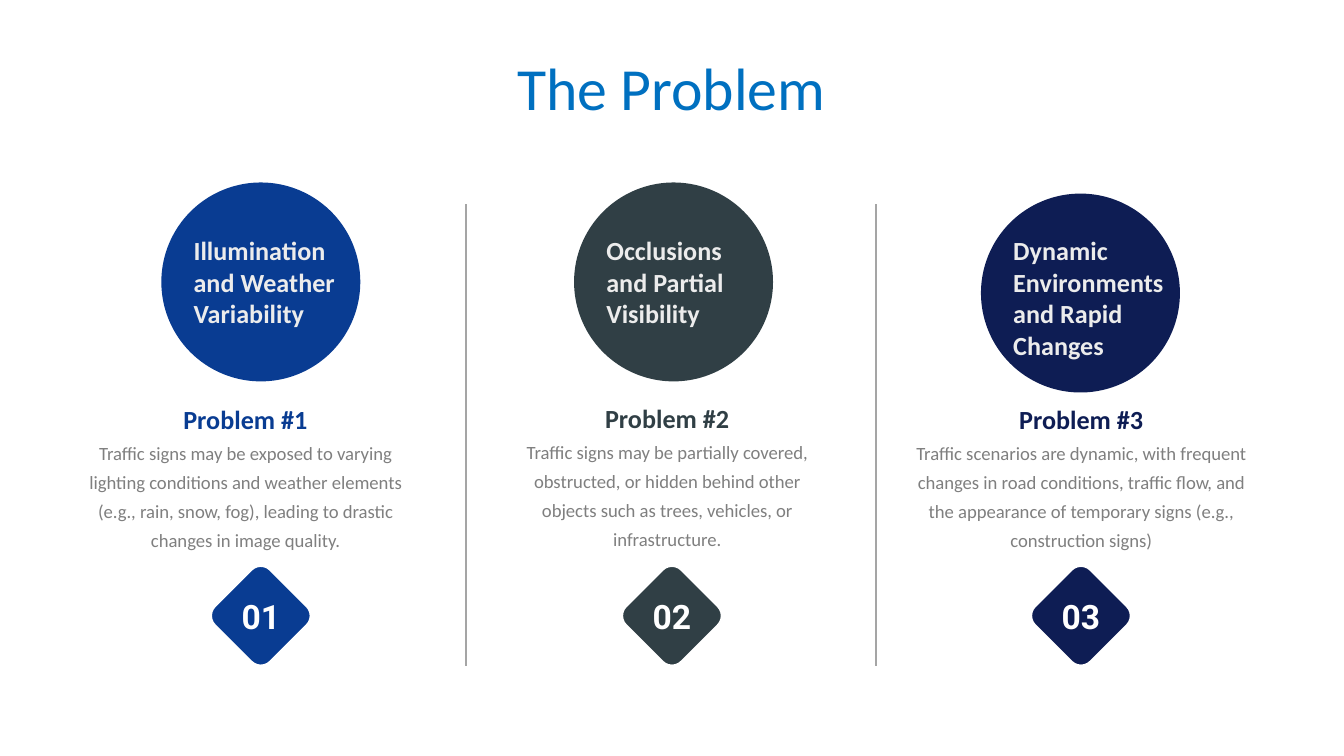
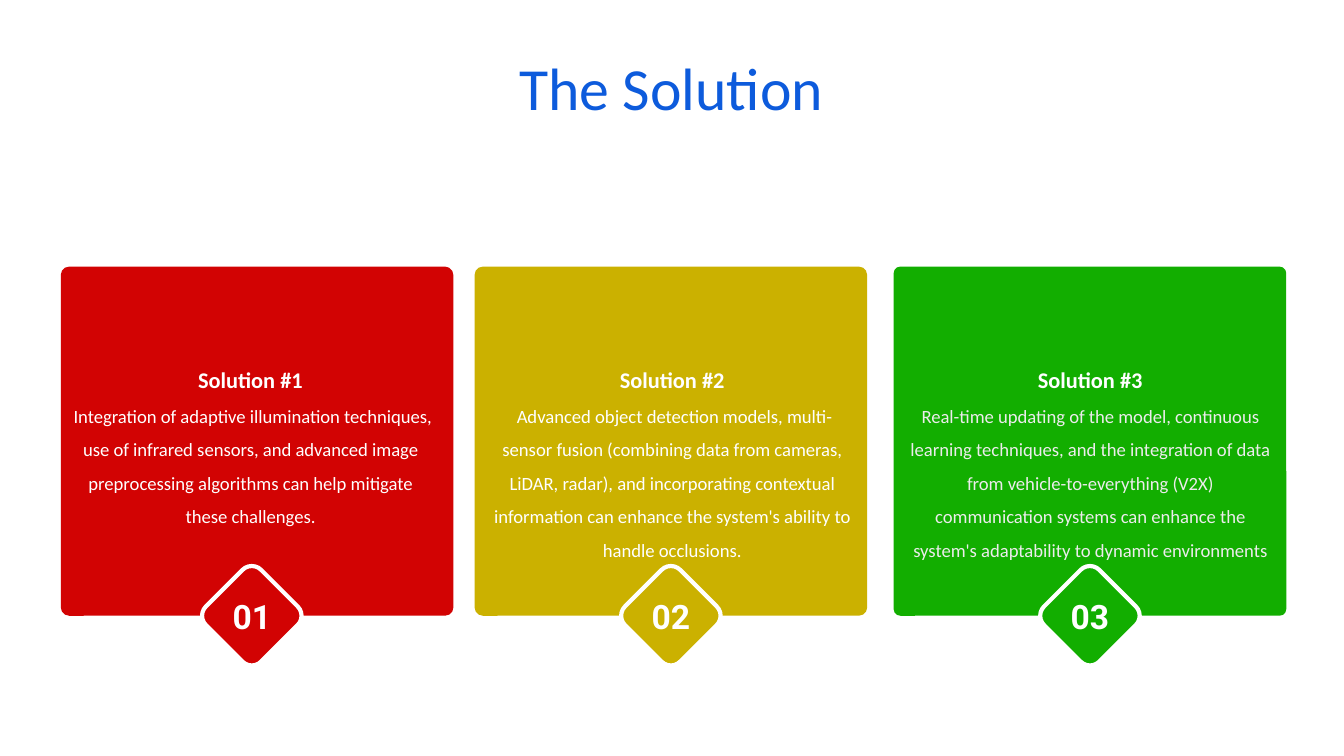
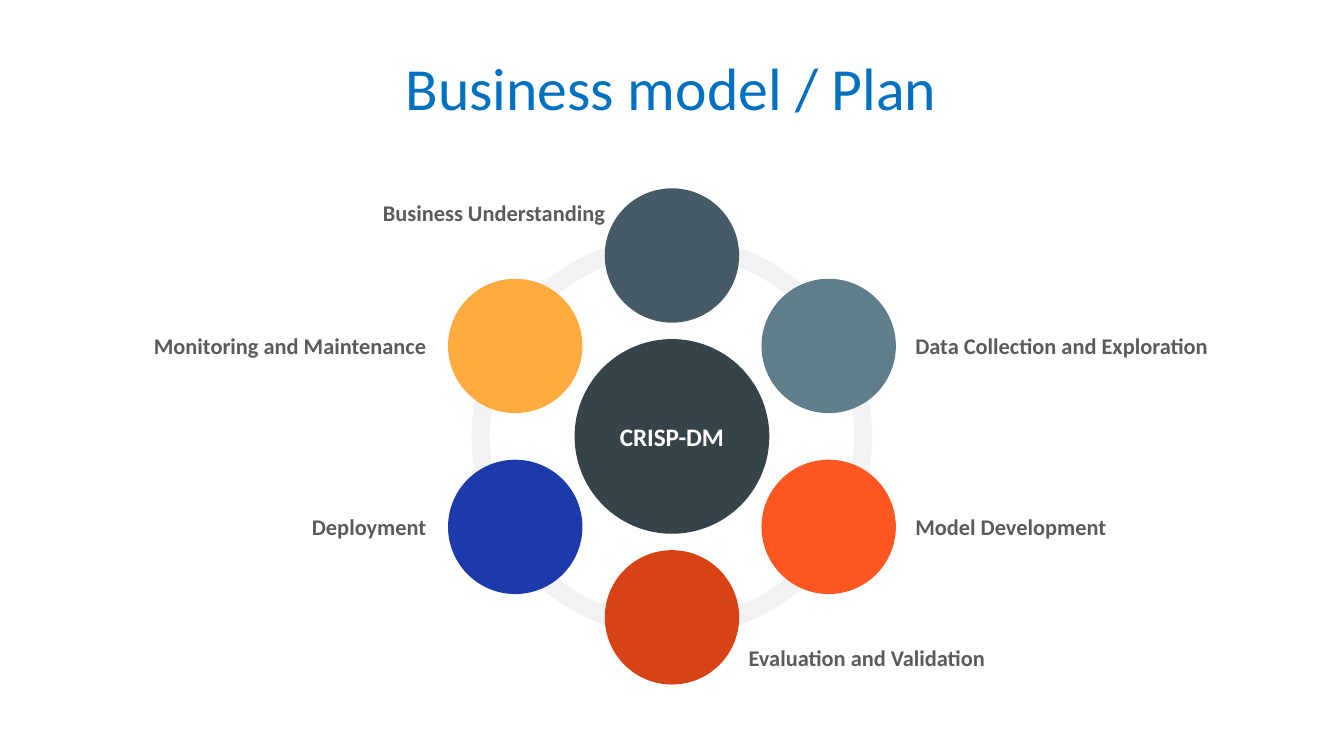
from dataclasses import dataclass
from math import cos, radians, sin

from lxml import etree
from pptx import Presentation
from pptx.dml.color import RGBColor
from pptx.enum.shapes import MSO_CONNECTOR, MSO_SHAPE
from pptx.enum.text import MSO_ANCHOR, MSO_AUTO_SIZE, PP_ALIGN
from pptx.oxml.ns import qn
from pptx.util import Cm, Pt

LEFT, CENTER, RIGHT = PP_ALIGN.LEFT, PP_ALIGN.CENTER, PP_ALIGN.RIGHT
TOP, MIDDLE = MSO_ANCHOR.TOP, MSO_ANCHOR.MIDDLE
OVAL, ROUNDED, ARC = MSO_SHAPE.OVAL, MSO_SHAPE.ROUNDED_RECTANGLE, MSO_SHAPE.BLOCK_ARC
STRAIGHT = MSO_CONNECTOR.STRAIGHT
TITLE_ONLY = 5
NO_INSETS = (0, 0, 0, 0)
INSETS = (0.25, 0.13, 0.25, 0.13)


@dataclass(frozen=True)
class Theme:
    font: str = "Calibri"
    number_font: str = "Roboto"
    title: str = "0070C0"
    title_bright: str = "0D5BDC"
    white: str = "FFFFFF"
    pale: str = "ECECEC"
    body: str = "7F7F7F"
    label: str = "5B5B5B"
    divider: str = "A5A5A5"
    ring: str = "F2F2F2"
    hub: str = "364349"
    title_size: float = 32
    number_size: float = 18
    heading_size: float = 14
    hub_size: float = 13.5
    label_size: float = 12
    body_size: float = 10


T = Theme()

# Colour, circle left and top, label width and height,
# text left, top and width, badge centre, label, text
PROBLEMS = [
    ("093C92", 3.05, 3.45, 3.3, 2.06, 1.48, 7.45, 6.32, 4.93,
     "Illumination and Weather Variability",
     "Traffic signs may be exposed to varying lighting conditions and weather "
     "elements (e.g., rain, snow, fog), leading to drastic changes in image quality."),
    ("303F45", 10.85, 3.45, 3.38, 2.06, 9.92, 7.43, 5.38, 12.7,
     "Occlusions and Partial Visibility",
     "Traffic signs may be partially covered, obstructed, or hidden behind other "
     "objects such as trees, vehicles, or infrastructure."),
    ("0E1D54", 18.54, 3.66, 3.76, 2.64, 17.21, 7.45, 6.45, 20.43,
     "Dynamic Environments and Rapid Changes",
     "Traffic scenarios are dynamic, with frequent changes in road conditions, "
     "traffic flow, and the appearance of temporary signs (e.g., construction signs)"),
]

# Colour, card left, corner, text left, badge centre, text colour, text
SOLUTIONS = [
    ("D20303", 1.15, 0.024, 1.27, 4.76, T.white,
     " Integration of adaptive illumination techniques, use of infrared sensors, and "
     "advanced image preprocessing algorithms can help mitigate these challenges."),
    ("CBB100", 8.97, 0.024, 9.24, 12.68, T.white,
     " Advanced object detection models, multi-sensor fusion (combining data from "
     "cameras, LiDAR, radar), and incorporating contextual information can enhance "
     "the system's ability to handle occlusions."),
    ("12AE00", 16.89, 0.019, 17.14, 20.6, T.pale,
     "Real-time updating of the model, continuous learning techniques, and the "
     "integration of data from vehicle-to-everything (V2X) communication systems can "
     "enhance the system's adaptability to dynamic environments"),
]

# Clockwise from the top: colour, label, label left, top and width, alignment
PHASES = [
    ("455A64", "Business Understanding", 6.59, 3.77, 4.85, RIGHT),
    ("607D8B", "Data Collection and Exploration", 17.3, 6.3, 5.97, LEFT),
    ("FF5722", "Model Development", 17.3, 9.72, 4.88, LEFT),
    ("D84315", "Evaluation and Validation", 14.15, 12.19, 4.88, LEFT),
    ("1C3AA9", "Deployment", 3.21, 9.72, 4.85, RIGHT),
    ("FFAB40", "Monitoring and Maintenance", 2.4, 6.3, 5.66, RIGHT),
]


def rgb(value):
    return RGBColor.from_string(value)


def box(x, y, w, h):
    return Cm(x), Cm(y), Cm(w), Cm(h)


# Text
def set_frame(tf, anchor=TOP, insets=NO_INSETS):
    tf.word_wrap = True
    tf.auto_size = MSO_AUTO_SIZE.NONE
    tf.vertical_anchor = anchor
    tf.margin_left, tf.margin_top, tf.margin_right, tf.margin_bottom = map(Cm, insets)


def add_run(p, text, size, color, bold=False, font=T.font):
    r = p.add_run()
    r.text = text
    r.font.name, r.font.size, r.font.bold = font, Pt(size), bold
    r.font.color.rgb = rgb(color)


def write(sp, text, size, color, align=CENTER, anchor=MIDDLE, insets=NO_INSETS,
          bold=True, font=T.font):
    set_frame(sp.text_frame, anchor, insets)
    p = sp.text_frame.paragraphs[0]
    p.alignment = align
    add_run(p, text, size, color, bold, font)


def add_label(s, text, place, size, color, **style):
    write(s.shapes.add_textbox(*box(*place)), text, size, color, **style)


def add_description(s, place, heading, text, size, colors, spacing):
    tf = s.shapes.add_textbox(*box(*place)).text_frame
    set_frame(tf)
    p = tf.paragraphs[0]
    p.alignment, p.line_spacing = CENTER, spacing
    add_run(p, heading, size, colors[0], bold=True)
    p.add_line_break()
    add_run(p, text, T.body_size, colors[1])


# Shapes
def paint(sp, fill, line_width=None):
    sp.shadow.inherit = False
    sp.fill.solid()
    sp.fill.fore_color.rgb = rgb(fill)
    if line_width is None:
        sp.line.fill.background()
    else:
        sp.line.color.rgb = rgb(T.white)
        sp.line.width = Pt(line_width)


def add_filled(shapes, kind, place, fill, adjustments=()):
    sp = shapes.add_shape(kind, *box(*place))
    for i, value in enumerate(adjustments):
        sp.adjustments[i] = value
    paint(sp, fill)
    return sp


def add_disc(s, cx, cy, d, fill):
    return add_filled(s.shapes, OVAL, (cx - d / 2, cy - d / 2, d, d), fill)


def add_divider(s, x, top, bottom):
    line = s.shapes.add_connector(STRAIGHT, Cm(x), Cm(top), Cm(x), Cm(bottom))
    line.line.color.rgb = rgb(T.divider)
    line.line.width = Pt(1)
    etree.SubElement(line._element.spPr, qn("a:effectLst"))


def add_badge(s, cx, number, fill, line_width):
    """Numbered diamond with corners rounded by quarter arcs."""
    cy, reach, corner = 11.64, 0.69, 0.25
    points = []
    for side in range(0, 360, 90):
        for turn in range(-45, 46, 15):
            a = radians(side + turn)
            points.append((Cm(cx + reach * cos(radians(side)) + corner * cos(a)),
                           Cm(cy + reach * sin(radians(side)) + corner * sin(a))))
    builder = s.shapes.build_freeform(*points[0])
    builder.add_line_segments(points[1:], close=True)
    sp = builder.convert_to_shape()
    paint(sp, fill, line_width)
    write(sp, f"{number:02}", T.number_size, T.white, insets=INSETS, font=T.number_font)


# Slides
def add_slide(prs, title, color=T.title):
    s = prs.slides.add_slide(prs.slide_layouts[TITLE_ONLY])
    sp = s.shapes.title
    sp.left, sp.top, sp.width, sp.height = box(1.07, 0.95, 23.24, 1.37)
    write(sp, title, T.title_size, color, bold=False)
    return s


def problem_slide(prs):
    s = add_slide(prs, "The Problem")
    for x in (8.81, 16.56):
        add_divider(s, x, 3.86, 12.59)
    for n, (color, x, y, label_w, label_h, text_x, text_y, text_w, badge_x,
            label, text) in enumerate(PROBLEMS, 1):
        add_filled(s.shapes, OVAL, (x, y, 3.76, 3.76), color)
        add_label(s, label, (x + 0.36, 4.31, label_w, label_h), T.heading_size, T.pale,
                  align=LEFT, anchor=TOP, insets=INSETS)
        add_description(s, (text_x, text_y, text_w, 3), f"Problem #{n}", text,
                        T.heading_size, (color, T.body), 1.3)
        add_badge(s, badge_x, n, color, 1)


def solution_slide(prs):
    s = add_slide(prs, "The Solution", T.title_bright)
    for n, (color, x, corner, text_x, badge_x, text_color, text) in enumerate(SOLUTIONS, 1):
        add_filled(s.shapes, ROUNDED, (x, 5.04, 7.42, 6.6), color, [corner])
        add_description(s, (text_x, 6.67, 6.93, 3.58), f"Solution #{n}", text,
                        T.label_size, (T.white, text_color), 1.5)
        add_badge(s, badge_x, n, color, 2.25)


def plan_slide(prs):
    s = add_slide(prs, "Business model / Plan")
    cx, cy, ring, orbit = 12.7, 8.25, 7.57, 3.42
    hub = add_disc(s, cx, cy, 3.68, T.hub)
    write(hub, "CRISP-DM", T.hub_size, T.white)

    # Ring of arcs; an angle adjustment counts 0.6 per degree
    group = s.shapes.add_group_shape()
    starts = list(range(18, 199, 36))
    for start, end in zip(starts, starts[1:] + starts[:1]):
        add_filled(group.shapes, ARC, (cx - ring / 2, cy - ring / 2, ring, ring),
                   T.ring, [start * 0.6, end * 0.6, 0.045])

    # Phases around the hub
    for i, (color, label, x, y, w, align) in enumerate(PHASES):
        a = radians(60 * i - 90)
        add_disc(s, cx + orbit * cos(a), cy + orbit * sin(a), 2.54, color)
        add_label(s, label, (x, y, w, 0.48), T.label_size, T.label, align=align)


def main():
    prs = Presentation()
    prs.slide_width, prs.slide_height = Cm(25.4), Cm(14.29)
    problem_slide(prs)
    solution_slide(prs)
    plan_slide(prs)
    prs.save("out.pptx")


if __name__ == "__main__":
    main()
